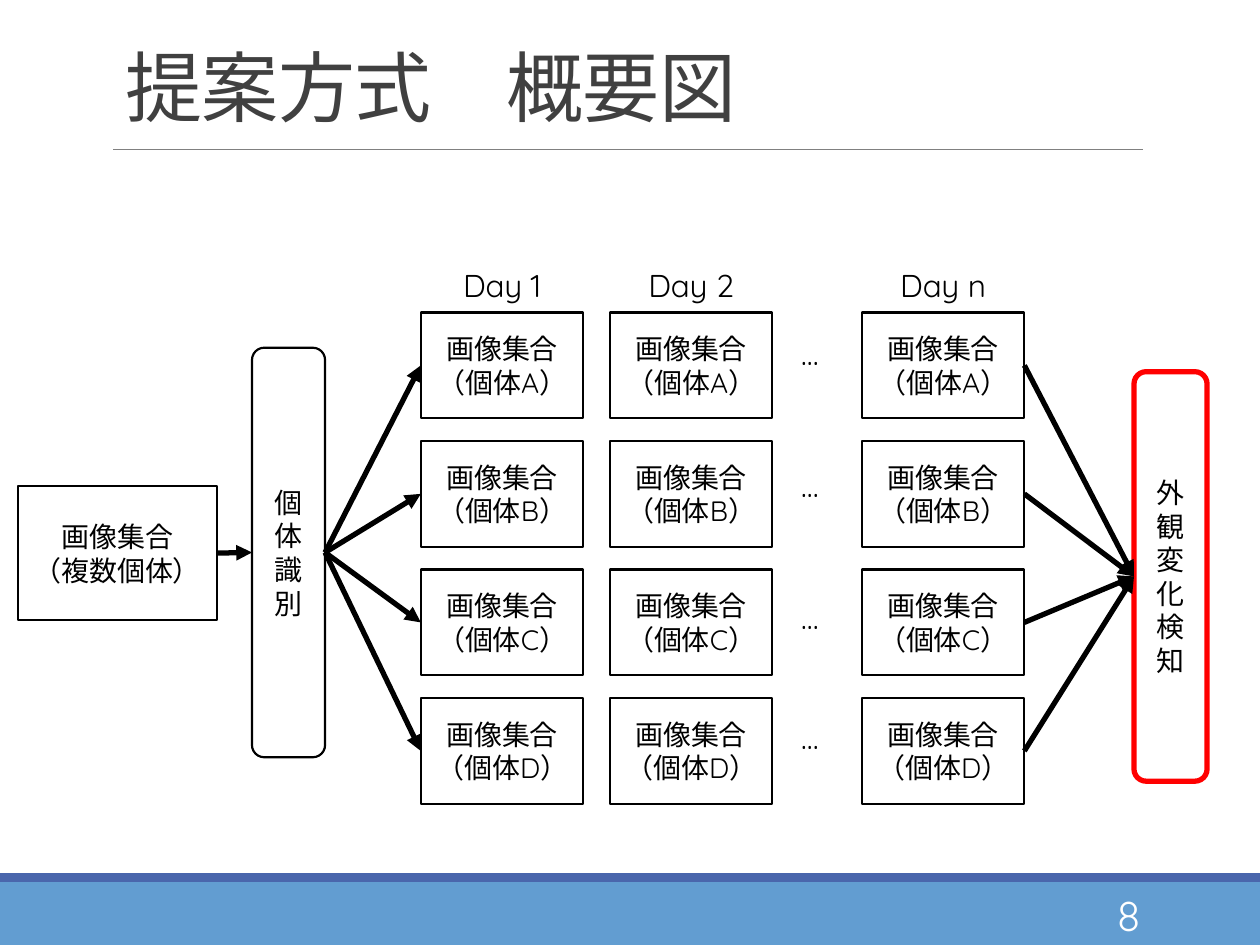
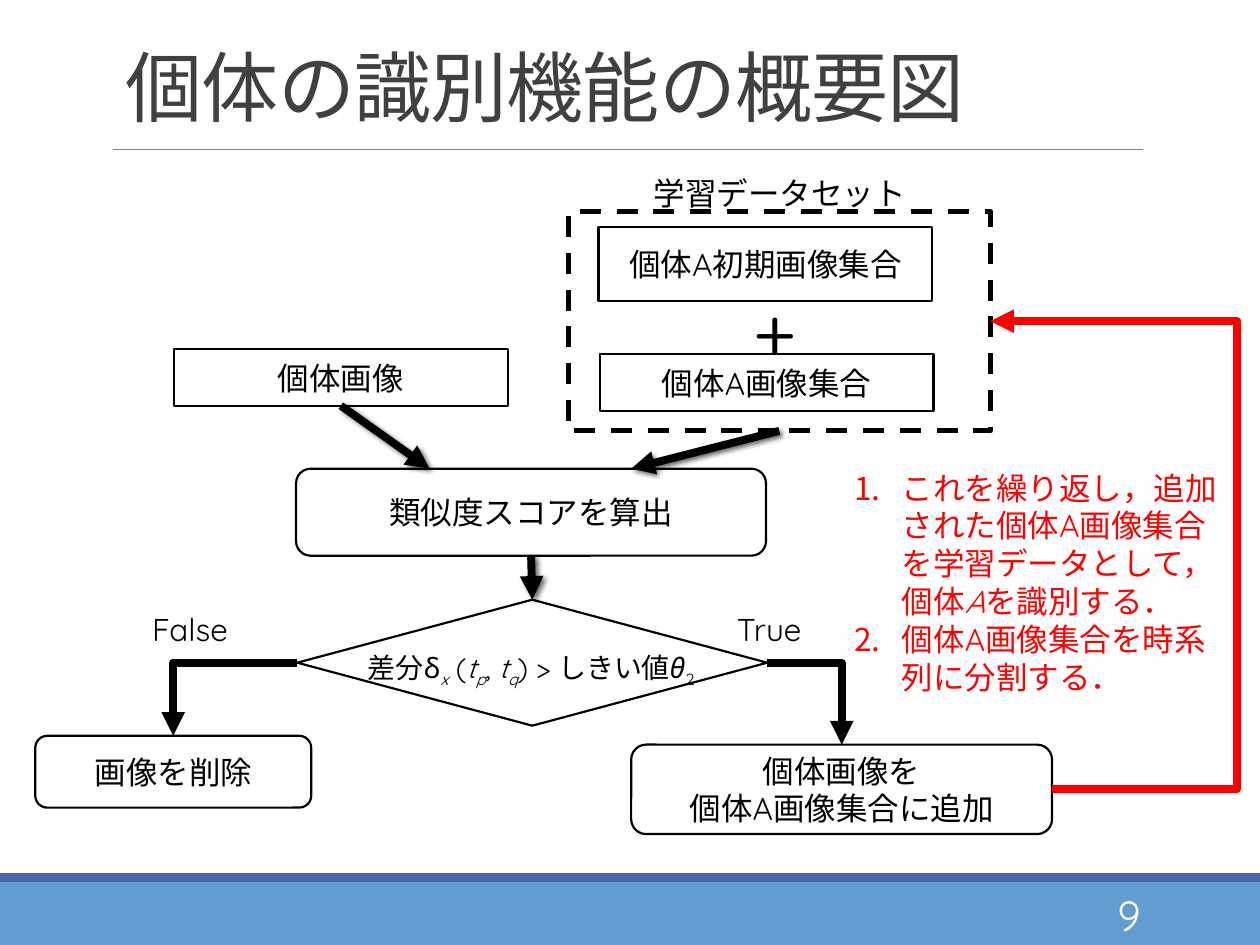
from lxml import etree
from pptx import Presentation
from pptx.dml.color import RGBColor
from pptx.enum.dml import MSO_LINE
from pptx.enum.lang import MSO_LANGUAGE_ID
from pptx.enum.shapes import MSO_CONNECTOR, MSO_SHAPE
from pptx.enum.text import MSO_ANCHOR, PP_ALIGN
from pptx.oxml.ns import qn
from pptx.util import Inches, Pt

RECT, ROUND = MSO_SHAPE.RECTANGLE, MSO_SHAPE.ROUNDED_RECTANGLE
DECISION = MSO_SHAPE.FLOWCHART_DECISION
ALTERNATE = MSO_SHAPE.FLOWCHART_ALTERNATE_PROCESS
STRAIGHT, ELBOW = MSO_CONNECTOR.STRAIGHT, MSO_CONNECTOR.ELBOW
DASH = MSO_LINE.DASH
LEFT, CENTER, RIGHT = PP_ALIGN.LEFT, PP_ALIGN.CENTER, PP_ALIGN.RIGHT
TOP, MIDDLE, BOTTOM = MSO_ANCHOR.TOP, MSO_ANCHOR.MIDDLE, MSO_ANCHOR.BOTTOM
JAPANESE = MSO_LANGUAGE_ID.JAPANESE
AT_TOP, AT_LEFT, AT_BOTTOM, AT_RIGHT = range(4)

FONT = "Quicksand"
BLACK = RGBColor(0x00, 0x00, 0x00)
WHITE = RGBColor(0xFF, 0xFF, 0xFF)
RED = RGBColor(0xFF, 0x00, 0x00)
GRAY = RGBColor(0x80, 0x80, 0x80)
TITLE_GRAY = RGBColor(0x40, 0x40, 0x40)
BAND_BLUE = RGBColor(0x62, 0x9D, 0xD1)
BAND_EDGE = RGBColor(0x4A, 0x66, 0xAC)


def sub(parent, tag, **attrs):
    return etree.SubElement(parent, qn(tag), attrs)


class Deck:
    def __init__(self):
        self.prs = Presentation()
        self.prs.slide_width, self.prs.slide_height = Inches(10), Inches(7.5)
        self.s = None

    def new_slide(self, title, number):
        self.s = self.prs.slides.add_slide(self.prs.slide_layouts[6])
        self.box(0, 7, 10, 0.5, fill=BAND_BLUE, line=None)
        self.box(0, 6.93, 10, 0.07, fill=BAND_EDGE, line=None)
        self.link((0.9, 1.19), (9.07, 1.19), GRAY, 0.5, arrow=False)
        p = self.text(0.9, 0.26, 8.25, 0.84, title, 44, TITLE_GRAY,
                      anchor=BOTTOM).text_frame.paragraphs[0]
        p.line_spacing = 0.85
        for r in p.runs:
            r._r.get_or_add_rPr().set("spc", "-50")
        self.text(8.07, 7.06, 1.08, 0.4, number, 24, WHITE, RIGHT, MIDDLE)

    def fill_frame(self, tf, content, size, color, align, anchor, numbered=False):
        """Content is a string, or paragraphs of (text, italic, baseline) runs."""
        tf.word_wrap, tf.vertical_anchor = True, anchor
        if isinstance(content, str):
            content = [[(line, False, 0)] for line in content.split("\n")]
        for i, runs in enumerate(content):
            p = tf.paragraphs[0] if i == 0 else tf.add_paragraph()
            p.alignment = align
            if numbered:
                pPr = p._p.get_or_add_pPr()
                pPr.set("marL", str(Inches(0.38)))
                pPr.set("indent", str(-Inches(0.38)))
                sub(pPr, "a:buFont", typeface=FONT)
                sub(pPr, "a:buAutoNum", type="arabicPeriod")
            for text, italic, baseline in runs:
                r = p.add_run()
                r.text = text
                r.font.name, r.font.size, r.font.language_id = FONT, Pt(size), JAPANESE
                r.font.color.rgb = color
                if italic:
                    r.font.italic = True
                if baseline:
                    r._r.get_or_add_rPr().set("baseline", str(baseline * 1000))

    def text(self, x, y, w, h, content, size=18, color=BLACK, align=LEFT,
             anchor=TOP, numbered=False):
        sp = self.s.shapes.add_textbox(Inches(x), Inches(y), Inches(w), Inches(h))
        self.fill_frame(sp.text_frame, content, size, color, align, anchor, numbered)
        return sp

    def box(self, x, y, w, h, content="", size=18, shape=RECT, fill=WHITE,
            line=BLACK, width=1.25, dash=None):
        sp = self.s.shapes.add_shape(shape, Inches(x), Inches(y), Inches(w), Inches(h))
        sp.shadow.inherit = False
        if fill is None:
            sp.fill.background()
        else:
            sp.fill.solid()
            sp.fill.fore_color.rgb = fill
        if line is None:
            sp.line.fill.background()
        else:
            sp.line.color.rgb, sp.line.width = line, Pt(width)
        if dash is not None:
            sp.line.dash_style = dash
        if content:
            self.fill_frame(sp.text_frame, content, size, BLACK, CENTER, MIDDLE)
        return sp

    def link(self, start, end, color=BLACK, width=3.0, kind=STRAIGHT,
             arrow=True, shadow=False):
        """Draw a connector; each end is an (x, y) point or a (shape, site) pair."""
        c = self.s.shapes.add_connector(kind, 0, 0, 0, 0)
        if isinstance(start[0], (int, float)):
            c.begin_x, c.begin_y = map(Inches, start)
        else:
            c.begin_connect(*start)
        if isinstance(end[0], (int, float)):
            c.end_x, c.end_y = map(Inches, end)
        else:
            c.end_connect(*end)
        c.line.color.rgb, c.line.width = color, Pt(width)
        spPr = c._element.spPr
        if arrow:
            sub(spPr.find(qn("a:ln")), "a:tailEnd", type="triangle")
        effects = sub(spPr, "a:effectLst")
        if shadow:
            shade = sub(effects, "a:outerShdw", blurRad=str(Pt(3)), dist=str(Pt(2)),
                        dir="2700000", algn="tl", rotWithShape="0")
            sub(sub(shade, "a:srgbClr", val=str(BLACK)), "a:alpha", val="60000")
        return c

    def bent(self, start, end, color=BLACK, preset="bentConnector2", adjust=None):
        c = self.link(start, end, color, 4.5, ELBOW)
        geom = c._element.spPr.find(qn("a:prstGeom"))
        geom.set("prst", preset)
        if adjust is not None:
            guides = geom.find(qn("a:avLst"))
            if guides is None:
                guides = sub(geom, "a:avLst")
            sub(guides, "a:gd", name="adj1", fmla=f"val {round(adjust * 100000)}")


def overview_slide(d):
    d.new_slide("提案方式　概要図", "8")
    source = d.box(0.14, 3.86, 1.58, 1.06, "画像集合\n（複数個体）", 16)
    identify = d.box(2, 2.76, 0.58, 3.25, "個体識別", 16, ROUND)
    detect = d.box(9, 2.95, 0.58, 3.25, "外観変化検知", 16, ROUND, line=RED, width=3)
    d.link((source, AT_RIGHT), (identify, AT_LEFT))

    days = [("Day 1", 3.34), ("Day 2", 4.84), ("Day n", 6.84)]
    for day, x in days:
        d.text(x + 0.1, 2.06, 1.09, 0.4, day, align=CENTER)
    for row, (name, dots_y) in enumerate(zip("ABCD", (2.6, 3.65, 4.7, 5.65))):
        sets = [d.box(x, 2.48 + 1.02 * row, 1.29, 0.84, f"画像集合\n（個体{name}）", 16)
                for _, x in days]
        d.link((identify, AT_RIGHT), (sets[0], AT_LEFT))
        d.link((sets[-1], AT_RIGHT), (detect, AT_LEFT))
        d.text(6.26, dots_y, 0.49, 0.4, "…")


def identification_slide(d):
    d.new_slide("個体の識別機能の概要図", "9")
    dataset = d.box(4.51, 1.68, 3.35, 1.74, fill=None, width=3, dash=DASH)
    image = d.box(1.38, 2.77, 2.65, 0.45, "個体画像")
    score = d.box(2.35, 3.72, 3.73, 0.69, "類似度スコアを算出", shape=ROUND)
    d.box(4.76, 2.81, 2.65, 0.45, "個体A画像集合")
    d.box(4.75, 1.8, 2.65, 0.59, "個体A初期画像集合")
    added = d.box(5.01, 5.91, 3.34, 0.71, "個体画像を\n個体A画像集合に追加", shape=ROUND)
    removed = d.box(0.28, 5.84, 2.19, 0.57, "画像を削除", shape=ALTERNATE)

    condition = [("差分δ", False, 0), ("x", True, -25), (" (", False, 0),
                 ("t", True, 0), ("p", True, -25), (", ", False, 0),
                 ("t", True, 0), ("q", True, -25), (") > しきい値", False, 0),
                 ("θ", True, 0), ("2", False, -25)]
    d.text(2.82, 5.11, 2.92, 0.35, [condition], 16)
    decision = d.box(2.36, 4.76, 3.73, 1, shape=DECISION, fill=None)

    for start, end in [((dataset, AT_BOTTOM), (5.01, 3.72)),
                       ((image, AT_BOTTOM), (3.41, 3.72)),
                       ((score, AT_BOTTOM), (decision, AT_TOP))]:
        d.link(start, end, width=4.5, shadow=True)
    d.bent((decision, AT_LEFT), (removed, AT_TOP))
    d.bent((decision, AT_RIGHT), (added, AT_TOP))
    d.bent((added, AT_RIGHT), (dataset, AT_RIGHT), RED, "bentConnector3", -3.0)

    d.text(1.11, 4.79, 1.5, 0.4, "False")
    d.text(5.75, 4.79, 0.77, 0.4, "True")
    steps = [[("これを繰り返し，追加された個体A画像集合を学習データとして，個体", False, 0),
              ("A", True, 0), ("を識別する．", False, 0)],
             [("個体A画像集合を時系列に分割する．", False, 0)]]
    d.text(6.68, 3.67, 3.1, 1.92, steps, color=RED, numbered=True)
    d.text(5.04, 1.33, 2.3, 0.4, "学習データセット", align=CENTER)
    d.text(5.79, 2.17, 0.73, 0.84, "+", 44, align=CENTER)


def main():
    d = Deck()
    overview_slide(d)
    identification_slide(d)
    d.prs.save("out.pptx")


if __name__ == "__main__":
    main()
